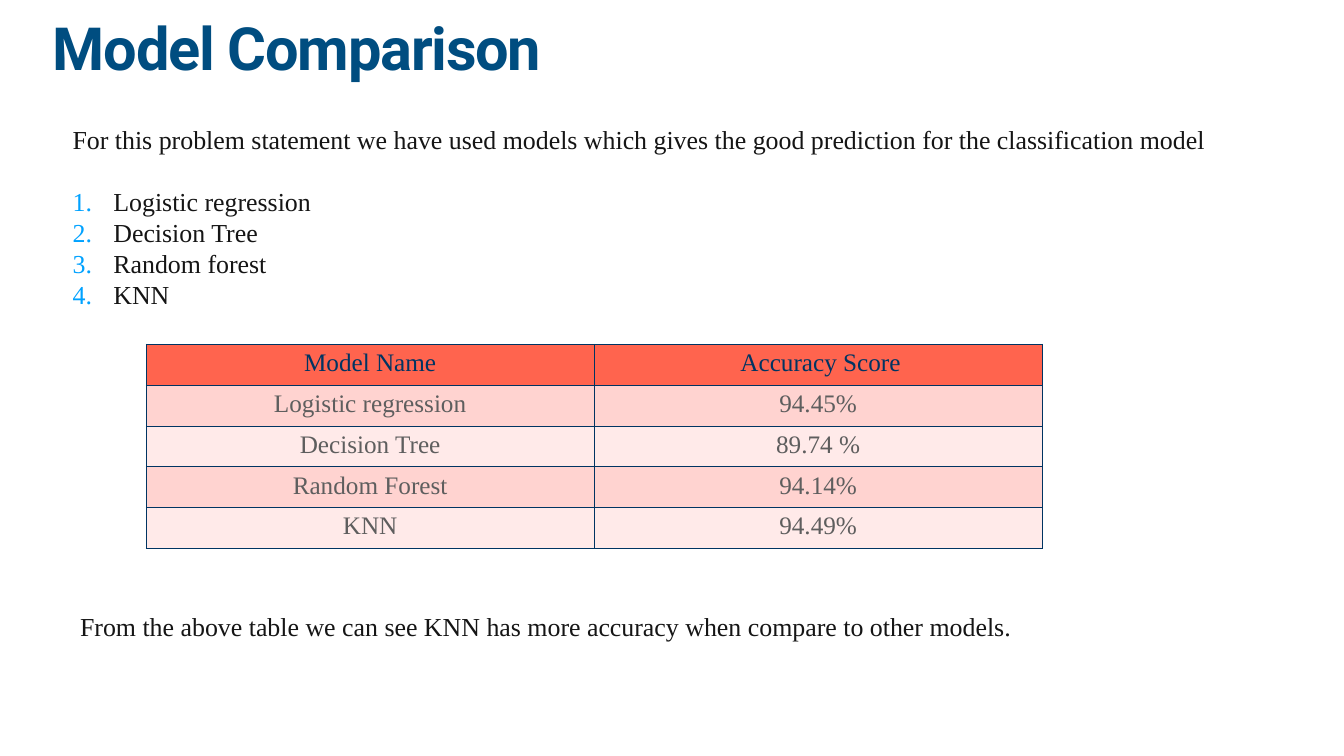
from pptx import Presentation, util as u
from pptx.dml.color import RGBColor
from pptx.enum import text
from pptx.oxml import parse_xml
from pptx.oxml.ns import nsdecls

WIDTH, HEIGHT = 26.67, 15
TITLE_BLUE = RGBColor(0x00, 0x4D, 0x80)
NAVY = RGBColor(0x00, 0x34, 0x62)
BULLET_BLUE = RGBColor(0x00, 0xA2, 0xFF)
INK = RGBColor(0x15, 0x15, 0x15)
GREY = RGBColor(0x5E, 0x5E, 0x5E)
CORAL = RGBColor(0xFF, 0x64, 0x4E)
BANDS = RGBColor(0xFF, 0xD3, 0xD0), RGBColor(0xFF, 0xEA, 0xE9)
SERIF = "Times New Roman"
BODY_SIZE, LINE_HEIGHT, LIST_INDENT = 37, 44.3, 0.81

INTRO = ("For this problem statement we have used models which gives "
         "the good prediction for the classification model")
MODELS = ["Logistic regression", "Decision Tree", "Random forest", "KNN"]
CONCLUSION = ("From the above table we can see KNN has more accuracy "
              "when compare to other models.")
SCORES = [
    ("Model Name", " Accuracy Score"),
    ("Logistic regression", "94.45%"),
    ("Decision Tree", "89.74 %"),
    ("Random Forest", "94.14%"),
    ("KNN", "94.49%"),
]


def place(shape, left, top, width, height):
    """Position a shape by shares of the slide's size."""
    shape.left, shape.width = (u.Inches(WIDTH * share) for share in (left, width))
    shape.top, shape.height = (u.Inches(HEIGHT * share) for share in (top, height))


def prepare_frame(frame, margin):
    """Give a text frame equal margins, wrapping and a top anchor."""
    frame.margin_left = frame.margin_right = u.Inches(margin)
    frame.margin_top = frame.margin_bottom = u.Inches(margin)
    frame.word_wrap = True
    frame.auto_size = text.MSO_AUTO_SIZE.NONE
    frame.vertical_anchor = text.MSO_ANCHOR.TOP


def format_runs(paragraph, name, size, color, bold=False):
    """Set the font of every run in a paragraph."""
    for run in paragraph.runs:
        run.font.name, run.font.size, run.font.bold = name, u.Pt(size), bold
        run.font.color.rgb = color


def format_body(paragraph, numbered=False):
    """Format a body paragraph, with or without automatic numbering."""
    paragraph.line_spacing = u.Pt(LINE_HEIGHT)
    paragraph.space_before = u.Pt(0)
    properties = paragraph._p.get_or_add_pPr()
    indent = u.Inches(LIST_INDENT) if numbered else 0
    properties.set("marL", str(indent))
    properties.set("indent", str(-indent))
    if numbered:
        bullets = [f'<a:buClr {nsdecls("a")}><a:srgbClr val="{BULLET_BLUE}"/></a:buClr>',
                   f'<a:buFont {nsdecls("a")} typeface="{SERIF}"/>',
                   f'<a:buAutoNum {nsdecls("a")} type="arabicPeriod"/>']
    else:
        bullets = [f'<a:buNone {nsdecls("a")}/>']
    for bullet in bullets:
        properties.append(parse_xml(bullet))
    format_runs(paragraph, SERIF, BODY_SIZE, INK)


def add_title(slide, title):
    """Fill the title placeholder."""
    shape = slide.shapes.title
    place(shape, 0.037, 0.029, 0.9, 0.105)
    prepare_frame(shape.text_frame, 0.06)
    shape.text_frame.text = title
    paragraph = shape.text_frame.paragraphs[0]
    paragraph.alignment = text.PP_ALIGN.LEFT
    paragraph.line_spacing = 0.8
    format_runs(paragraph, "Roboto", 85, TITLE_BLUE, bold=True)
    paragraph.runs[0].font._element.set("spc", "-170")


def add_model_list(slide):
    """Fill the body placeholder with the introduction and numbered models."""
    shape = slide.placeholders[1]
    place(shape, 0.054, 0.164, 0.931, 0.261)
    frame = shape.text_frame
    prepare_frame(frame, 0)
    frame.text = "\n".join([INTRO, *MODELS])
    for index, paragraph in enumerate(frame.paragraphs):
        format_body(paragraph, numbered=index > 0)
    frame.paragraphs[0].space_after = u.Pt(LINE_HEIGHT)


def add_conclusion(slide):
    """Add the closing sentence below the table."""
    shape = slide.shapes.add_textbox(0, 0, 0, 0)
    place(shape, 0.0596, 0.8073, 0.931, 0.091)
    prepare_frame(shape.text_frame, 0)
    shape.text_frame.text = CONCLUSION
    format_body(shape.text_frame.paragraphs[0])


def format_cell(cell, fill, color):
    """Fill, outline and format one table cell."""
    cell.margin_left = cell.margin_right = u.Inches(0.2)
    cell.margin_top = cell.margin_bottom = u.Inches(0.1)
    paragraph = cell.text_frame.paragraphs[0]
    paragraph.alignment = text.PP_ALIGN.CENTER
    format_runs(paragraph, SERIF, 36, color)
    properties = cell._tc.get_or_add_tcPr()
    for side in ("lnL", "lnR", "lnT", "lnB"):
        properties.append(parse_xml(
            f'<a:{side} {nsdecls("a")} w="{u.Pt(1)}"><a:solidFill>'
            f'<a:srgbClr val="{NAVY}"/></a:solidFill></a:{side}>'))
    cell.fill.solid()
    cell.fill.fore_color.rgb = fill


def add_score_table(slide):
    """Add the table of accuracy scores with a header and banded rows."""
    column_width, row_height = u.Inches(8.89), u.Inches(0.81)
    rows, columns = len(SCORES), len(SCORES[0])
    table = slide.shapes.add_table(
        rows, columns, u.Inches(2.9), u.Inches(6.83),
        column_width * columns, row_height * rows).table
    for row, values in enumerate(SCORES):
        fill, color = (BANDS[(row - 1) % 2], GREY) if row else (CORAL, NAVY)
        for column, value in enumerate(values):
            cell = table.cell(row, column)
            cell.text = value
            format_cell(cell, fill, color)


def main():
    """Build the model comparison slide."""
    presentation = Presentation()
    presentation.slide_width = u.Inches(WIDTH)
    presentation.slide_height = u.Inches(HEIGHT)
    slide = presentation.slides.add_slide(presentation.slide_layouts[1])
    add_title(slide, "Model Comparison")
    add_model_list(slide)
    add_score_table(slide)
    add_conclusion(slide)
    presentation.save("out.pptx")


if __name__ == "__main__":
    main()
